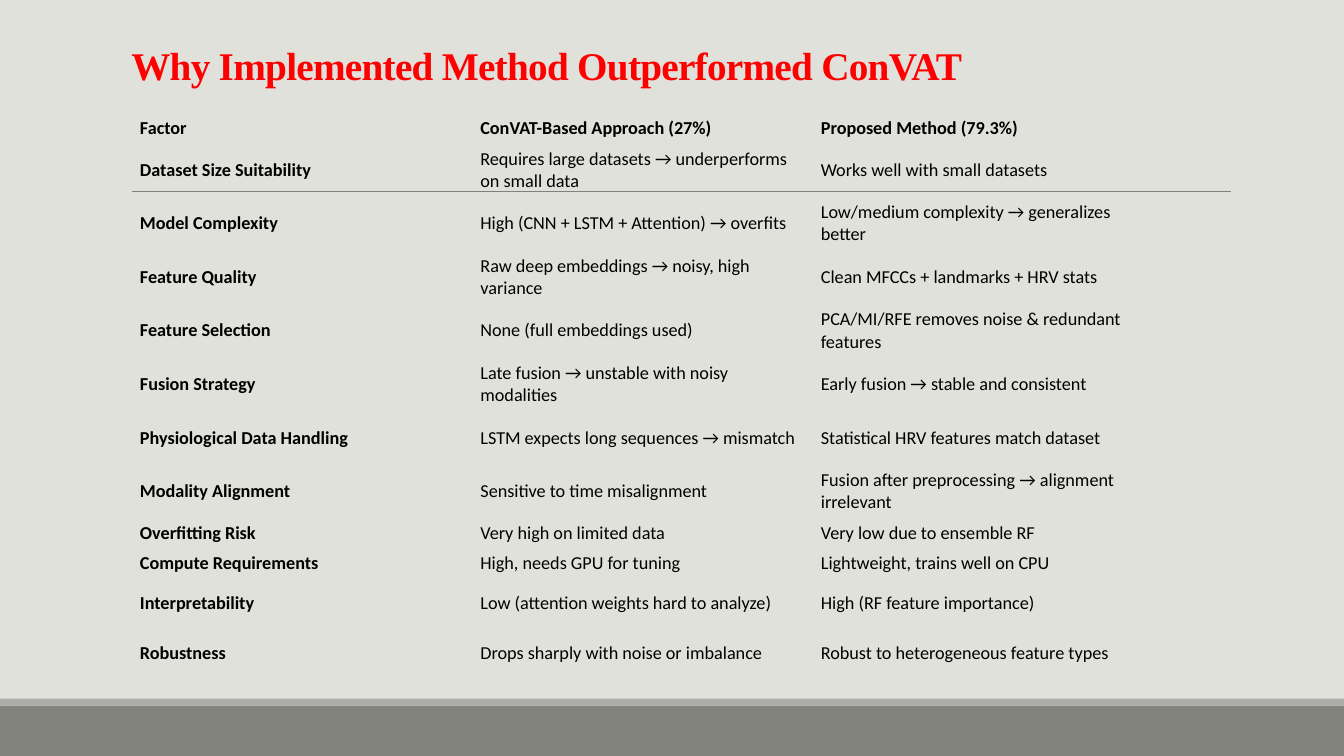
from lxml import etree
from pptx import Presentation
from pptx.dml.color import RGBColor
from pptx.enum.shapes import MSO_CONNECTOR, MSO_SHAPE
from pptx.enum.text import MSO_ANCHOR, PP_ALIGN
from pptx.oxml.ns import qn
from pptx.util import Pt

BACK = RGBColor(0xE1, 0xE1, 0xDB)
BAND = RGBColor(0x82, 0x84, 0x7C)
STRIPE = RGBColor(0xAC, 0xAD, 0xA8)
RULE = RGBColor(0x80, 0x80, 0x80)
RED = RGBColor(0xFF, 0x00, 0x00)
BLACK = RGBColor(0x00, 0x00, 0x00)
RECT = MSO_SHAPE.RECTANGLE
STRAIGHT = MSO_CONNECTOR.STRAIGHT
MIDDLE, BOTTOM = MSO_ANCHOR.MIDDLE, MSO_ANCHOR.BOTTOM
LEFT = PP_ALIGN.LEFT
NO_GRID = "{2D5ABB26-0587-4C30-8999-92F81FD0307C}"
WIDE, HIGH = 960, 540

# Height in points, then the three cells
ROWS = [
    (21.6, "Factor", "ConVAT-Based Approach (27%)", "Proposed Method (79.3%)"),
    (38.3, "Dataset Size Suitability",
     "Requires large datasets → underperforms on small data",
     "Works well with small datasets"),
    (38.3, "Model Complexity", "High (CNN + LSTM + Attention) → overfits",
     "Low/medium complexity → generalizes better"),
    (38.3, "Feature Quality", "Raw deep embeddings → noisy, high variance",
     "Clean MFCCs + landmarks + HRV stats"),
    (38.3, "Feature Selection", "None (full embeddings used)",
     "PCA/MI/RFE removes noise & redundant features"),
    (38.3, "Fusion Strategy", "Late fusion → unstable with noisy modalities",
     "Early fusion → stable and consistent"),
    (38.3, "Physiological Data Handling",
     "LSTM expects long sequences → mismatch",
     "Statistical HRV features match dataset"),
    (38.3, "Modality Alignment", "Sensitive to time misalignment",
     "Fusion after preprocessing → alignment irrelevant"),
    (21.6, "Overfitting Risk", "Very high on limited data",
     "Very low due to ensemble RF"),
    (21.6, "Compute Requirements", "High, needs GPU for tuning",
     "Lightweight, trains well on CPU"),
    (35.6, "Interpretability", "Low (attention weights hard to analyze)",
     "High (RF feature importance)"),
    (35.6, "Robustness", "Drops sharply with noise or imbalance",
     "Robust to heterogeneous feature types"),
]


def add_run(para, text, face, size, color, bold):
    run = para.add_run()
    run.text = text
    run.font.name = face
    run.font.size = Pt(size)
    run.font.color.rgb = color
    run.font.bold = bold
    return run


prs = Presentation()
prs.slide_width, prs.slide_height = Pt(WIDE), Pt(HIGH)
slide = prs.slides.add_slide(prs.slide_layouts[5])
slide.background.fill.solid()
slide.background.fill.fore_color.rgb = BACK

# Footer bands
for top, height, color in [(504, 36, BAND), (499, 5, STRIPE)]:
    bar = slide.shapes.add_shape(RECT, 0, Pt(top), Pt(WIDE), Pt(height))
    bar.shadow.inherit = False
    bar.fill.solid()
    bar.fill.fore_color.rgb = color
    bar.line.fill.background()

# Rule behind the table
rule = slide.shapes.add_connector(
    STRAIGHT, Pt(94.3), Pt(136.8), Pt(879), Pt(136.8))
rule.line.color.rgb = RULE
rule.line.width = Pt(0.5)
etree.SubElement(rule._element.spPr, qn("a:effectLst"))

# Title
title = slide.shapes.title
title.left, title.top = Pt(86.6), Pt(22.3)
title.width, title.height = Pt(792), Pt(44.6)
frame = title.text_frame
frame.word_wrap = True
frame.vertical_anchor = BOTTOM
para = frame.paragraphs[0]
para.alignment = LEFT
para.line_spacing = 0.85
run = add_run(para, "Why Implemented Method Outperformed ConVAT",
              "Times New Roman", 28, RED, True)
run.font._element.set("spc", "-50")

# Comparison table
total = sum(row[0] for row in ROWS)
holder = slide.shapes.add_table(
    len(ROWS), 3, Pt(95), Pt(80.6), Pt(729.6), Pt(total))
table = holder.table
table.first_row = table.horz_banding = False
table._tbl.tblPr.find(qn("a:tableStyleId")).text = NO_GRID
for col in table.columns:
    col.width = Pt(243.2)
for i, (height, *texts) in enumerate(ROWS):
    table.rows[i].height = Pt(height)
    for j, text in enumerate(texts):
        cell = table.cell(i, j)
        cell.fill.background()
        cell.vertical_anchor = MIDDLE
        cell.margin_left = cell.margin_right = Pt(5)
        cell.margin_top = cell.margin_bottom = Pt(2.6)
        add_run(cell.text_frame.paragraphs[0], text, "Calibri", 13, BLACK,
                i == 0 or j == 0)

prs.save("out.pptx")
